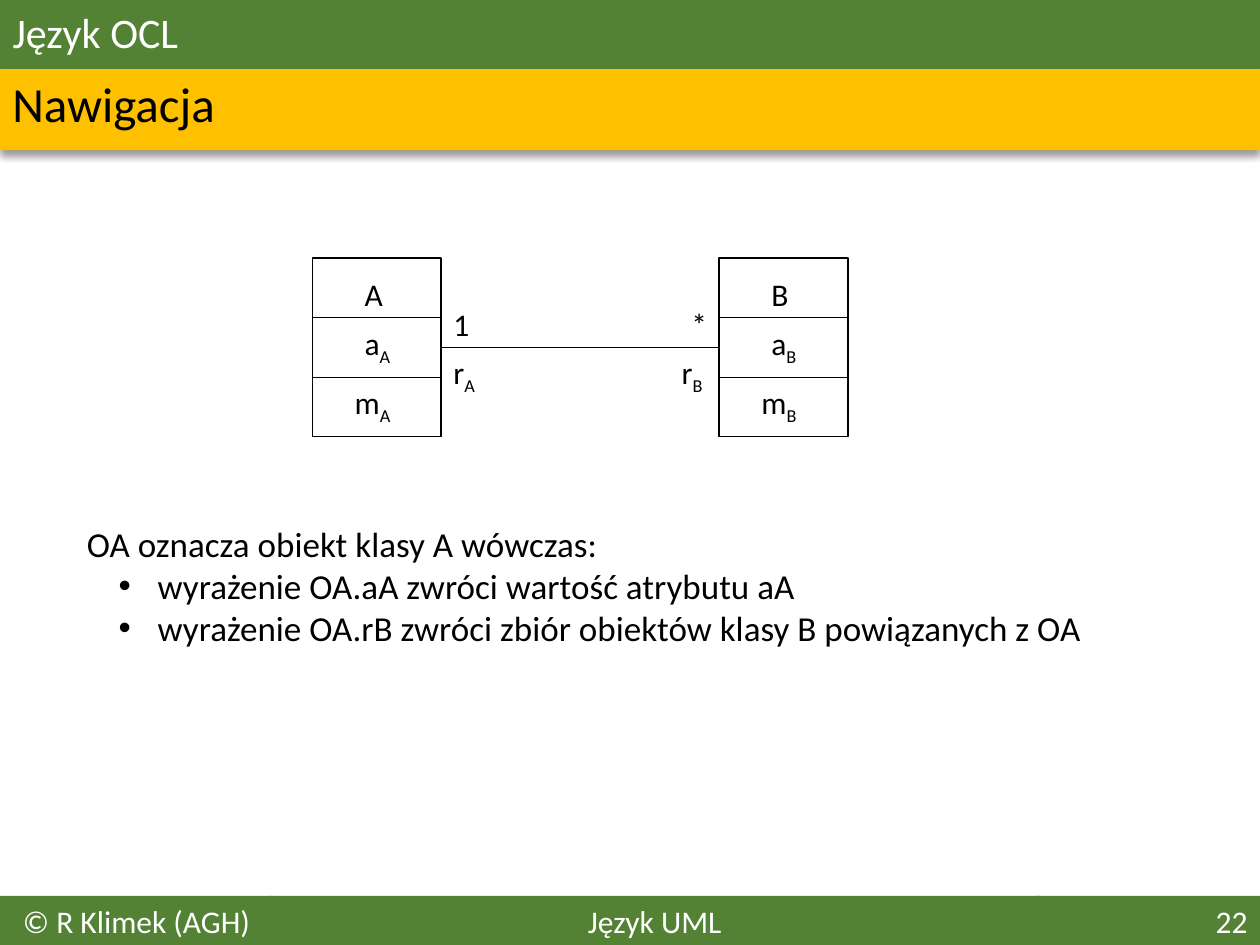
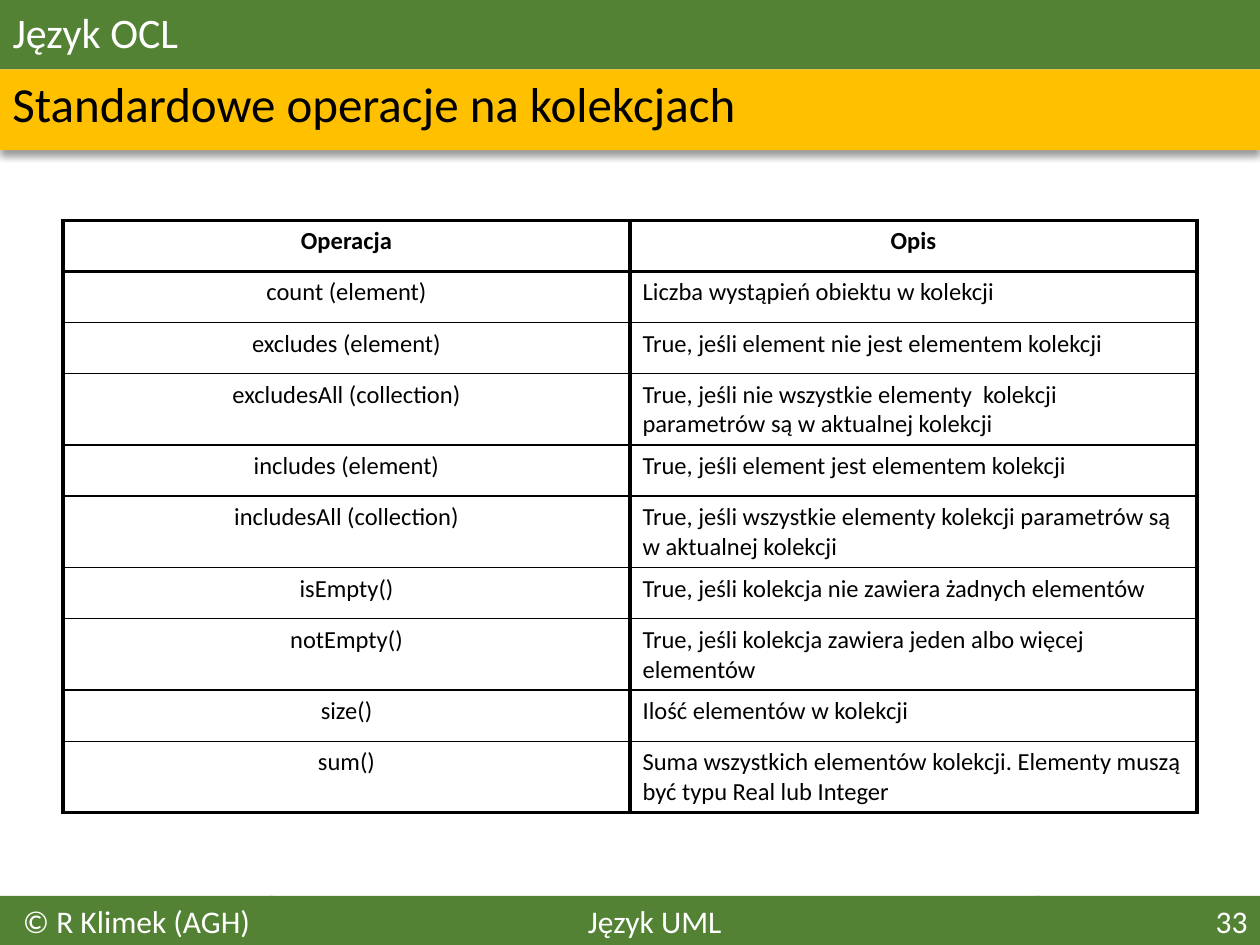
"""Build two OCL lecture slides: class navigation and collection operations."""
from dataclasses import dataclass

from lxml.etree import SubElement
from pptx import Presentation
from pptx.dml.color import RGBColor
from pptx.enum.shapes import MSO_CONNECTOR, MSO_SHAPE
from pptx.enum.text import MSO_ANCHOR, MSO_AUTO_SIZE, PP_ALIGN
from pptx.oxml import parse_xml
from pptx.oxml.ns import nsdecls, qn
from pptx.shapes.autoshape import Shape
from pptx.shapes.connector import Connector
from pptx.slide import Slide
from pptx.table import _Cell
from pptx.text.text import _Paragraph
from pptx.util import Cm, Pt

FONT = "Calibri"
BLACK, WHITE, GREEN, AMBER = "000000", "FFFFFF", "548235", "FFC000"
SLIDE_WIDTH, SLIDE_HEIGHT = 25.4, 19.05
TITLE_HEIGHT, BAND_HEIGHT = 1.4, 1.63
FOOTER_TOP = 18.06
CLASS_WIDTH, CLASS_TOP, COMPARTMENT = 2.59, 5.2, 1.2
THICK, THIN = 2.25, 1


@dataclass(frozen=True)
class FooterPart:
    left: float
    width: float
    text: str
    align: PP_ALIGN


@dataclass(frozen=True)
class Label:
    left: float
    top: float
    width: float
    text: str
    subscript: str = ""


@dataclass(frozen=True)
class UmlClass:
    name: str
    left: float


CLASSES = [UmlClass("A", 6.3), UmlClass("B", 14.5)]
ASSOCIATION_LABELS = [
    Label(13.69, 6.02, 0.84, "*"),
    Label(8.89, 6.02, 0.84, "1"),
    Label(8.89, 7.0, 0.99, "r", "A"),
    Label(13.49, 7.0, 0.99, "r", "B"),
]
EXPLANATION = [
    "OA oznacza obiekt klasy A wówczas:",
    "wyrażenie OA.aA zwróci wartość atrybutu aA",
    "wyrażenie OA.rB zwróci zbiór obiektów klasy B powiązanych z OA",
]
OPERATIONS = [
    ("Operacja", "Opis"),
    ("count (element)", "Liczba wystąpień obiektu w kolekcji"),
    ("excludes (element)", "True, jeśli element nie jest elementem kolekcji"),
    ("excludesAll (collection)",
     "True, jeśli nie wszystkie elementy  kolekcji parametrów są w aktualnej kolekcji"),
    ("includes (element)", "True, jeśli element jest elementem kolekcji"),
    ("includesAll (collection)",
     "True, jeśli wszystkie elementy kolekcji parametrów są w aktualnej kolekcji"),
    ("isEmpty()", "True, jeśli kolekcja nie zawiera żadnych elementów"),
    ("notEmpty()", "True, jeśli kolekcja zawiera jeden albo więcej elementów"),
    ("size()", "Ilość elementów w kolekcji"),
    ("sum()", "Suma wszystkich elementów kolekcji. Elementy muszą być typu Real lub Integer"),
]


def colour(value: str) -> RGBColor:
    return RGBColor.from_string(value)


def format_paragraph(paragraph: _Paragraph, size: float, ink: str = BLACK,
                     align: PP_ALIGN = PP_ALIGN.LEFT, bold: bool = False) -> None:
    paragraph.alignment = align
    for span in paragraph.runs:
        span.font.name, span.font.size, span.font.bold = FONT, Pt(size), bold
        span.font.color.rgb = colour(ink)


def add_rectangle(page: Slide, left: float, top: float, width: float, height: float,
                  fill: str, outline: str = "") -> Shape:
    box = page.shapes.add_shape(MSO_SHAPE.RECTANGLE, Cm(left), Cm(top), Cm(width), Cm(height))
    box.shadow.inherit = False
    box.fill.solid()
    box.fill.fore_color.rgb = colour(fill)
    if outline:
        box.line.color.rgb = colour(outline)
        box.line.width = Pt(1)
    else:
        box.line.fill.background()
    return box


def add_line(page: Slide, left: float, right: float, height: float) -> Connector:
    line = page.shapes.add_connector(
        MSO_CONNECTOR.STRAIGHT, Cm(left), Cm(height), Cm(right), Cm(height))
    line.line.color.rgb = colour(BLACK)
    line.line.width = Pt(0.5)
    SubElement(line._element.spPr, qn("a:effectLst"))
    return line


def add_label(page: Slide, label: Label) -> None:
    box = page.shapes.add_textbox(Cm(label.left), Cm(label.top), Cm(label.width), Cm(1.02))
    box.text_frame.word_wrap = False
    box.text_frame.auto_size = MSO_AUTO_SIZE.SHAPE_TO_FIT_TEXT
    paragraph = box.text_frame.paragraphs[0]
    paragraph.text = label.text
    if label.subscript:
        span = paragraph.add_run()
        span.text = label.subscript
        span._r.get_or_add_rPr().set("baseline", "-25000")
    format_paragraph(paragraph, 18)


def add_band(page: Slide, topic: str) -> None:
    band = add_rectangle(page, 0, TITLE_HEIGHT, SLIDE_WIDTH, BAND_HEIGHT, AMBER)
    effects = band._element.spPr.find(qn("a:effectLst"))
    effects.append(parse_xml(
        f'<a:outerShdw {nsdecls("a")} blurRad="{Pt(4)}" dist="{Pt(3)}" dir="5400000" '
        f'algn="t" rotWithShape="0"><a:srgbClr val="{BLACK}"><a:alpha val="40000"/>'
        '</a:srgbClr></a:outerShdw>'))
    box = page.shapes.add_textbox(0, Cm(TITLE_HEIGHT), Cm(SLIDE_WIDTH), Cm(1.5))
    box.text_frame.word_wrap = True
    box.text_frame.vertical_anchor = MSO_ANCHOR.MIDDLE
    box.text_frame.text = topic
    paragraph = box.text_frame.paragraphs[0]
    paragraph.line_spacing = 0.9
    format_paragraph(paragraph, 28)


def add_page(deck: Presentation, topic: str, number: int) -> Slide:
    page = deck.slides.add_slide(deck.slide_layouts[5])
    add_band(page, topic)
    title = page.shapes.title
    title.left, title.top = Cm(0), Cm(0)
    title.width, title.height = Cm(SLIDE_WIDTH), Cm(TITLE_HEIGHT)
    title.fill.solid()
    title.fill.fore_color.rgb = colour(GREEN)
    title.text_frame.text = "Język OCL"
    title.text_frame.vertical_anchor = MSO_ANCHOR.MIDDLE
    title.text_frame.paragraphs[0].line_spacing = 0.9
    format_paragraph(title.text_frame.paragraphs[0], 24, WHITE)
    footer = [
        FooterPart(5.44, 15.52, "Język UML", PP_ALIGN.CENTER),
        FooterPart(0, 5.51, "© R Klimek (AGH)", PP_ALIGN.CENTER),
        FooterPart(20.88, 4.52, str(number), PP_ALIGN.RIGHT),
    ]
    for part in footer:
        box = add_rectangle(page, part.left, FOOTER_TOP, part.width,
                            SLIDE_HEIGHT - FOOTER_TOP, GREEN)
        box.text_frame.vertical_anchor = MSO_ANCHOR.TOP
        box.text_frame.text = part.text
        format_paragraph(box.text_frame.paragraphs[0], 18, WHITE, part.align)
    return page


def add_class(page: Slide, uml: UmlClass) -> Shape:
    box = add_rectangle(page, uml.left, CLASS_TOP, CLASS_WIDTH, 3 * COMPARTMENT, WHITE, BLACK)
    attribute_top, method_top = (CLASS_TOP + row * COMPARTMENT for row in (1, 2))
    for divider in (attribute_top, method_top):
        add_line(page, uml.left, uml.left + CLASS_WIDTH, divider)
    add_label(page, Label(uml.left + 0.8, CLASS_TOP + 0.21, 0.88, uml.name))
    add_label(page, Label(uml.left + 0.8, attribute_top, 1.07, "a", uml.name))
    add_label(page, Label(uml.left + 0.6, method_top, 1.26, "m", uml.name))
    return box


def add_explanation(page: Slide) -> None:
    box = page.shapes.add_textbox(Cm(1.5), Cm(10.41), Cm(22), Cm(2.9))
    frame = box.text_frame
    frame.word_wrap = True
    frame.text = "\n".join(EXPLANATION)
    for paragraph in frame.paragraphs[1:]:
        properties = paragraph._p.get_or_add_pPr()
        properties.set("marL", str(Cm(1.43)))
        properties.set("indent", str(Cm(-0.79)))
        SubElement(properties, qn("a:buFont"), typeface="Arial")
        SubElement(properties, qn("a:buChar"), char="•")
    for paragraph in frame.paragraphs:
        format_paragraph(paragraph, 20)


def set_borders(cell: _Cell, top: float, bottom: float) -> None:
    properties = cell._tc.get_or_add_tcPr()
    for side, width in (("L", THICK), ("R", THICK), ("T", top), ("B", bottom)):
        properties.append(parse_xml(
            f'<a:ln{side} {nsdecls("a")} w="{Pt(width)}"><a:solidFill>'
            f'<a:srgbClr val="{BLACK}"/></a:solidFill></a:ln{side}>'))


def add_operations_table(page: Slide) -> None:
    last = len(OPERATIONS) - 1
    table = page.shapes.add_table(len(OPERATIONS), 2, Cm(1.27), Cm(4.44),
                                  Cm(22.86), Cm(1.03 * len(OPERATIONS))).table
    table.first_row = table.horz_banding = False
    for row, texts in enumerate(OPERATIONS):
        for column, text in enumerate(texts):
            cell = table.cell(row, column)
            set_borders(cell, THICK if row <= 1 else THIN, THICK if row in (0, last) else THIN)
            cell.fill.background()
            cell.text = text
            centred = row == 0 or column == 0
            format_paragraph(cell.text_frame.paragraphs[0], 14,
                             align=PP_ALIGN.CENTER if centred else PP_ALIGN.LEFT, bold=row == 0)


def build_navigation(deck: Presentation) -> None:
    page = add_page(deck, "Nawigacja", 22)
    source, target = (add_class(page, uml) for uml in CLASSES)
    association = add_line(page, CLASSES[0].left + CLASS_WIDTH, CLASSES[1].left,
                           CLASS_TOP + 1.5 * COMPARTMENT)
    association.begin_connect(source, 3)
    association.end_connect(target, 1)
    for label in ASSOCIATION_LABELS:
        add_label(page, label)
    add_explanation(page)


def build_operations(deck: Presentation) -> None:
    page = add_page(deck, "Standardowe operacje na kolekcjach", 33)
    add_operations_table(page)


def main() -> None:
    deck = Presentation()
    deck.slide_width, deck.slide_height = Cm(SLIDE_WIDTH), Cm(SLIDE_HEIGHT)
    build_navigation(deck)
    build_operations(deck)
    deck.save("out.pptx")


if __name__ == "__main__":
    main()
